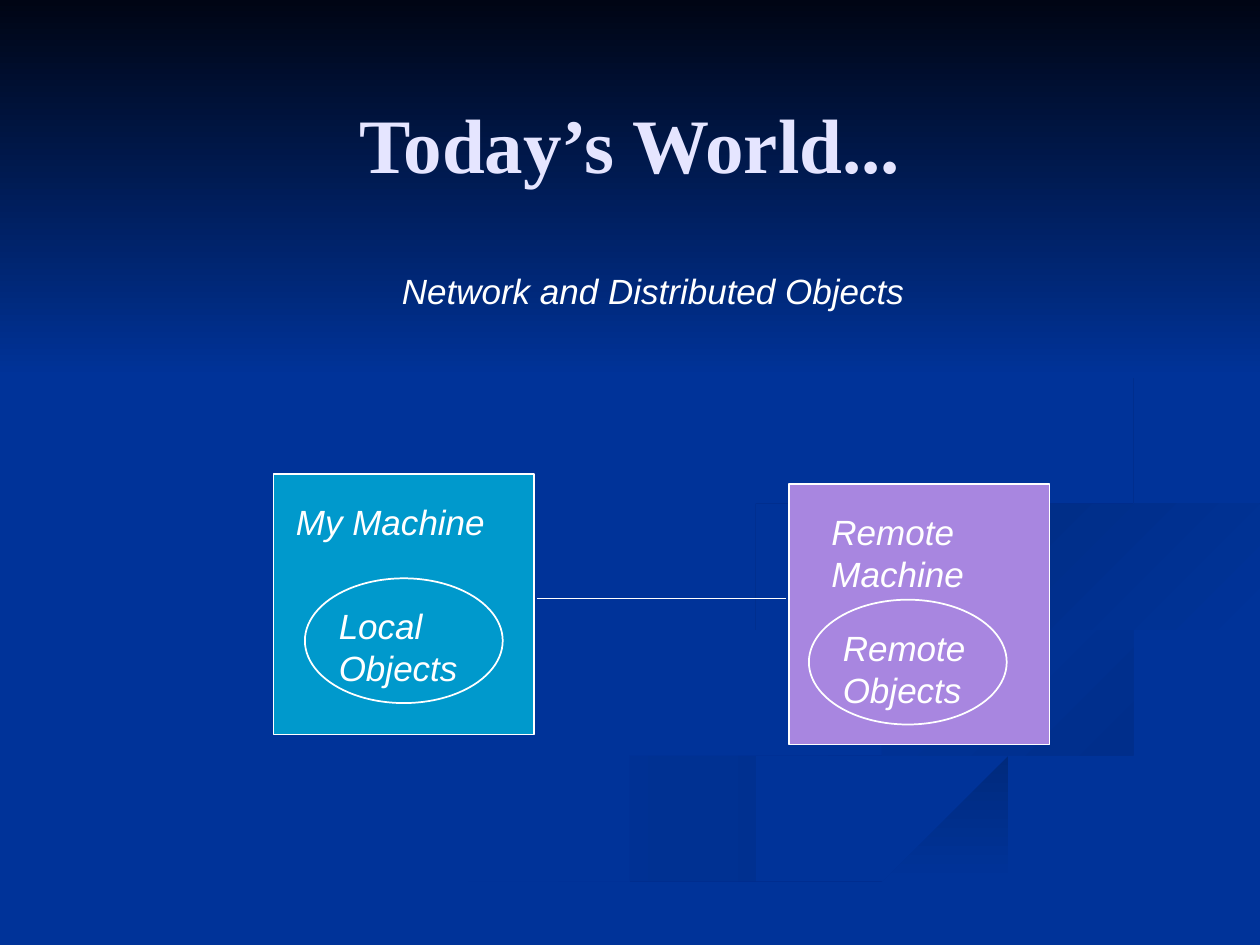
"""Build the slide on network and distributed objects."""
from dataclasses import dataclass

from lxml.etree import SubElement
from pptx import Presentation
from pptx.dml.color import RGBColor
from pptx.enum.shapes import MSO_CONNECTOR as Link, MSO_SHAPE as Preset
from pptx.enum.text import MSO_ANCHOR as Anchor, PP_ALIGN as Align
from pptx.oxml.ns import qn
from pptx.util import Inches, Pt

WHITE = "FFFFFF"
BLUE = "003399"
BOX_SIDE = 2.07
OVAL_WIDTH, OVAL_HEIGHT = 1.57, 0.99
CURVE_STEPS = 6


@dataclass
class Ribbon:
    edges: list
    start: str = BLUE
    end: str = BLUE
    angle: int = 0


@dataclass
class Label:
    text: str
    left: float
    top: float
    width: float
    height: float
    size: int = 20
    font: str = "Arial"
    color: str = WHITE
    bold: bool = False
    italic: bool = True
    align: Align = Align.LEFT
    anchor: Anchor = Anchor.TOP


@dataclass
class Machine:
    left: float
    top: float
    oval_left: float
    oval_top: float
    fill: str
    name: Label
    objects: Label


RIBBONS = [
    Ribbon([
        [(7.81, 5.53), (6.82, 5.19), (5.94, 4.85), (5.75, 4.59)],
        [(5.75, 4.59), (5.81, 4.83), (6.79, 5.19), (7.76, 5.53), (7.74, 5.83),
         (6.16, 6.29), (4.58, 6.74), (3, 7.49)],
        [(3.61, 7.49), (4.99, 6.87), (6.51, 6.4), (7.8, 6.05), (8, 5.81), (7.81, 5.53)],
    ], BLUE, "002E8B", 0),
    Ribbon([
        [(8.94, 6.05), (9.43, 5.7), (8.88, 5.35), (7.74, 5.03), (7.24, 4.64)],
        [(7.24, 4.64), (7.55, 5.05), (8.38, 5.36), (9.18, 5.81), (8.94, 6.05)],
    ], BLUE, "002E8B", 45),
    Ribbon([
        [(5.03, 7.49), (5.71, 7.49)],
        [(5.71, 7.49), (6.95, 6.92), (8.21, 6.51), (9.98, 6.09)],
        [(9.98, 5.81), (9.03, 6.1), (7.64, 6.47), (6.3, 6.93), (5.03, 7.49)],
    ], "002A7D", BLUE, 90),
    Ribbon([
        [(7.25, 4.64), (7.75, 5.03), (8.89, 5.35), (9.43, 5.7), (8.92, 6.05),
         (7.04, 6.55), (4.77, 7.49)],
        [(5.03, 7.49), (6.3, 6.93), (7.65, 6.47), (9.04, 6.1), (9.99, 5.81)],
        [(9.99, 5.38), (8.66, 5.09), (7.81, 4.63), (8.5, 4.27), (9.99, 4.02)],
        [(9.99, 3.87), (8.3, 4.15), (7.42, 4.39), (7.25, 4.64)],
    ]),
    Ribbon([
        [(9.98, 4.02), (8.65, 4.24), (7.81, 4.6), (8.26, 4.96)],
        [(8.26, 4.96), (8.05, 4.72), (8.59, 4.43), (9.98, 4.2)],
    ], "002D86", BLUE, 45),
    Ribbon([
        [(6.22, 5), (5.93, 4.7), (6.83, 4.3), (8.25, 4.02), (8.94, 3.44),
         (8.54, 2.83), (7.62, 2.33)],
        [(7.62, 2.33), (8.55, 2.85), (8.89, 3.35), (8.42, 3.78), (6.49, 4.2),
         (5.77, 4.62), (6.22, 5)],
    ], "002B82", BLUE, 45),
    Ribbon([[(0, 0), (0, 3.08)], [(10, 3.08), (10, 0)]], "000514", BLUE, 90),
]

HEADINGS = [
    Label("Today’s World...", 0.5, 0.3, 9, 1.25, 44, "Times New Roman", "E5E5FF",
          True, False, Align.CENTER, Anchor.BOTTOM),
    Label("Network and Distributed Objects", 3.09, 2.09, 4.41, 0.43),
]

MACHINES = [
    Machine(2.17, 3.76, 2.42, 4.59, "0099CC",
            Label("My Machine", 2.25, 3.92, 1.83, 0.43),
            Label("Local Objects", 2.59, 4.75, 1.25, 0.76)),
    Machine(6.26, 3.84, 6.42, 4.76, "A886E0",
            Label("Remote Machine", 6.5, 4, 1.33, 0.76),
            Label("Remote Objects", 6.59, 4.92, 1.25, 0.76)),
]


def paint(target, color: str) -> None:
    target.rgb = RGBColor.from_string(color)


def smooth(edge: list) -> list:
    """Return points on a Catmull-Rom curve through the edge."""
    if len(edge) == 2:
        return edge
    padded = [edge[0], *edge, edge[-1]]
    curve = [edge[0]]
    for quad in zip(padded, padded[1:], padded[2:], padded[3:]):
        for step in range(1, CURVE_STEPS + 1):
            t = step / CURVE_STEPS
            curve.append(tuple(
                b + t * (c - a + t * (2 * a - 5 * b + 4 * c - d + t * (3 * b - a - 3 * c + d))) / 2
                for a, b, c, d in zip(*quad)))
    return curve


def draw_ribbon(page, ribbon: Ribbon) -> None:
    first, *rest = [point for edge in ribbon.edges for point in smooth(edge)]
    builder = page.shapes.build_freeform(*first, scale=Inches(1))
    builder.add_line_segments(rest, close=True)
    shape = builder.convert_to_shape()
    shape.shadow.inherit = False
    shape.line.fill.background()
    if ribbon.start == ribbon.end:
        shape.fill.solid()
        paint(shape.fill.fore_color, ribbon.start)
        return
    shape.fill.gradient()
    shape.fill.gradient_angle = -ribbon.angle % 360
    for stop, color in zip(shape.fill.gradient_stops, (ribbon.start, ribbon.end)):
        paint(stop.color, color)


def draw_shape(page, preset: Preset, left: float, top: float,
               width: float, height: float, fill: str) -> None:
    shape = page.shapes.add_shape(preset, Inches(left), Inches(top), Inches(width), Inches(height))
    shape.shadow.inherit = False
    shape.fill.solid()
    paint(shape.fill.fore_color, fill)
    paint(shape.line.color, WHITE)
    shape.line.width = Pt(1)


def draw_label(page, label: Label) -> None:
    box = page.shapes.add_textbox(Inches(label.left), Inches(label.top),
                                  Inches(label.width), Inches(label.height))
    box.text_frame.word_wrap = True
    box.text_frame.vertical_anchor = label.anchor
    para = box.text_frame.paragraphs[0]
    para.alignment = label.align
    span = para.add_run()
    span.text = label.text
    span.font.name = label.font
    span.font.size = Pt(label.size)
    span.font.bold = label.bold
    span.font.italic = label.italic
    paint(span.font.color, label.color)


def draw_network_link(page, start: float, end: float, level: float) -> None:
    link = page.shapes.add_connector(Link.STRAIGHT, Inches(start), Inches(level),
                                     Inches(end), Inches(level))
    paint(link.line.color, WHITE)
    link.line.width = Pt(1)
    SubElement(link._element.spPr, qn("a:effectLst"))


def main() -> None:
    deck = Presentation()
    deck.slide_width, deck.slide_height = Inches(10), Inches(7.5)
    page = deck.slides.add_slide(deck.slide_layouts[6])
    page.background.fill.solid()
    paint(page.background.fill.fore_color, BLUE)
    for ribbon in RIBBONS:
        draw_ribbon(page, ribbon)
    for heading in HEADINGS:
        draw_label(page, heading)
    for machine in MACHINES:
        draw_shape(page, Preset.RECTANGLE, machine.left, machine.top,
                   BOX_SIDE, BOX_SIDE, machine.fill)
        draw_label(page, machine.name)
        draw_shape(page, Preset.OVAL, machine.oval_left, machine.oval_top,
                   OVAL_WIDTH, OVAL_HEIGHT, machine.fill)
        draw_label(page, machine.objects)
    draw_network_link(page, 4.26, 6.24, 4.75)
    deck.save("out.pptx")


if __name__ == "__main__":
    main()
